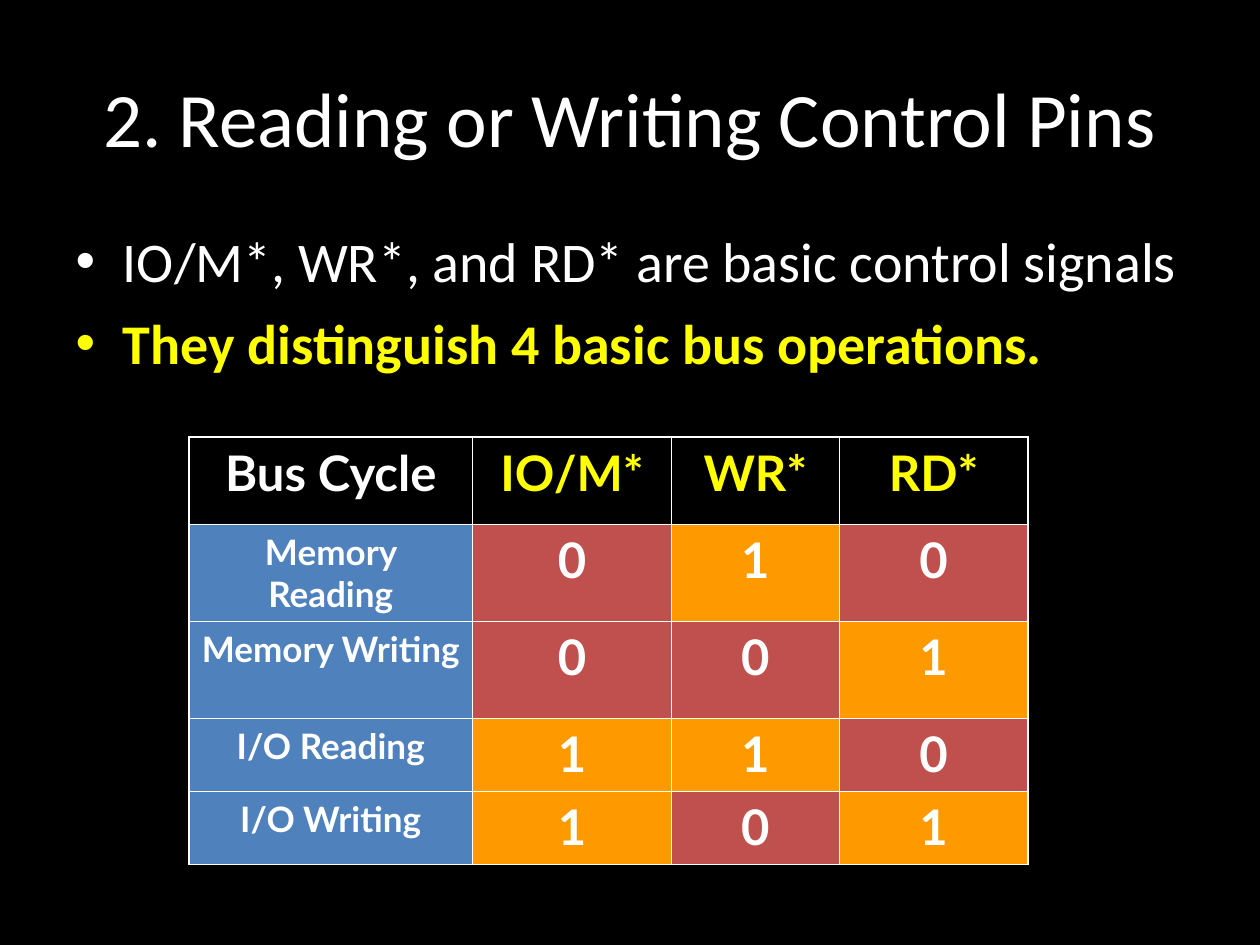
"""Builds the slide on reading and writing control pins."""
from dataclasses import dataclass

from lxml import etree
from pptx import Presentation
from pptx.dml.color import RGBColor
from pptx.enum.text import MSO_ANCHOR, MSO_AUTO_SIZE, PP_ALIGN
from pptx.oxml.ns import qn
from pptx.util import Inches, Pt

CENTER = PP_ALIGN.CENTER
MIDDLE = MSO_ANCHOR.MIDDLE
NO_FIT = MSO_AUTO_SIZE.NONE


@dataclass(frozen=True)
class Theme:
    black: str = "000000"
    white: str = "FFFFFF"
    yellow: str = "FFFF00"
    label: str = "4F81BD"
    low: str = "C0504D"
    high: str = "FF9900"
    text_font: str = "Calibri"
    table_font: str = "Lato"
    title_size: int = 44
    body_size: int = 32
    value_size: int = 28
    label_size: int = 20
    outer_line: float = 1.08
    inner_line: float = 0.45


def format_text(p, font, size, color, bold=False):
    for r in p.runs:
        r.font.name = font
        r.font.size = Pt(size)
        r.font.bold = bold
        r.font.color.rgb = RGBColor.from_string(color)


def add_border(cell, side, width, color):
    ln = etree.SubElement(cell._tc.get_or_add_tcPr(), qn(f"a:ln{side}"), w=str(Pt(width)))
    fill = etree.SubElement(ln, qn("a:solidFill"))
    etree.SubElement(fill, qn("a:srgbClr"), val=color)


theme = Theme()
prs = Presentation()
prs.slide_width, prs.slide_height = Inches(10), Inches(7.5)
s = prs.slides.add_slide(prs.slide_layouts[1])
s.background.fill.solid()
s.background.fill.fore_color.rgb = RGBColor.from_string(theme.black)

title, body = s.placeholders
title.left, title.top, title.width, title.height = map(Inches, (0.5, 0.3, 9, 1.25))
tf = title.text_frame
tf.text = "2. Reading or Writing Control Pins"
tf.auto_size = NO_FIT
tf.vertical_anchor = MIDDLE
tf.paragraphs[0].alignment = CENTER
format_text(tf.paragraphs[0], theme.text_font, theme.title_size, theme.white)

body.left, body.top, body.width, body.height = map(Inches, (0.5, 1.75, 9, 1.45))
tf = body.text_frame
tf.text = "IO/M*, WR*, and RD* are basic control signals\nThey distinguish 4 basic bus operations."
tf.auto_size = NO_FIT
for p, color, bold in zip(tf.paragraphs, (theme.white, theme.yellow), (False, True)):
    p.space_before = Pt(8)
    bullet = etree.SubElement(p._p.get_or_add_pPr(), qn("a:buClr"))
    etree.SubElement(bullet, qn("a:srgbClr"), val=color)
    format_text(p, theme.text_font, theme.body_size, color, bold)

bus_cycles = [
    ("Bus Cycle", "IO/M*", "WR*", "RD*"),
    ("Memory Reading", "0", "1", "0"),
    ("Memory Writing", "0", "0", "1"),
    ("I/O Reading", "1", "1", "0"),
    ("I/O Writing", "1", "0", "1"),
]
col_widths = (2.25, 1.58, 1.33, 1.5)
row_heights = (0.69, 0.77, 0.77, 0.58, 0.58)
last_row, last_col = len(row_heights) - 1, len(col_widths) - 1

frame = s.shapes.add_table(len(row_heights), len(col_widths), Inches(1.5), Inches(3.47),
                           Inches(sum(col_widths)), Inches(sum(row_heights)))
table = frame.table
table.horz_banding = False
for col, width in zip(table.columns, col_widths):
    col.width = Inches(width)
for row, height in zip(table.rows, row_heights):
    row.height = Inches(height)

for i, values in enumerate(bus_cycles):
    for j, value in enumerate(values):
        cell = table.cell(i, j)
        is_label = i > 0 and j == 0
        outer = {"L": j == 0, "R": j == last_col, "T": i == 0, "B": i == last_row}
        for side, is_outer in outer.items():
            width = theme.outer_line if is_outer else theme.inner_line
            add_border(cell, side, width, theme.white)
        if i == 0:
            cell.fill.background()
        else:
            fill = theme.label if is_label else theme.high if value == "1" else theme.low
            cell.fill.solid()
            cell.fill.fore_color.rgb = RGBColor.from_string(fill)
        cell.text = value
        p = cell.text_frame.paragraphs[0]
        p.alignment = CENTER
        p.space_before = Pt(5 if is_label else 7)
        format_text(p, theme.table_font, theme.label_size if is_label else theme.value_size,
                    theme.yellow if i == 0 and j > 0 else theme.white, True)

prs.save("out.pptx")
